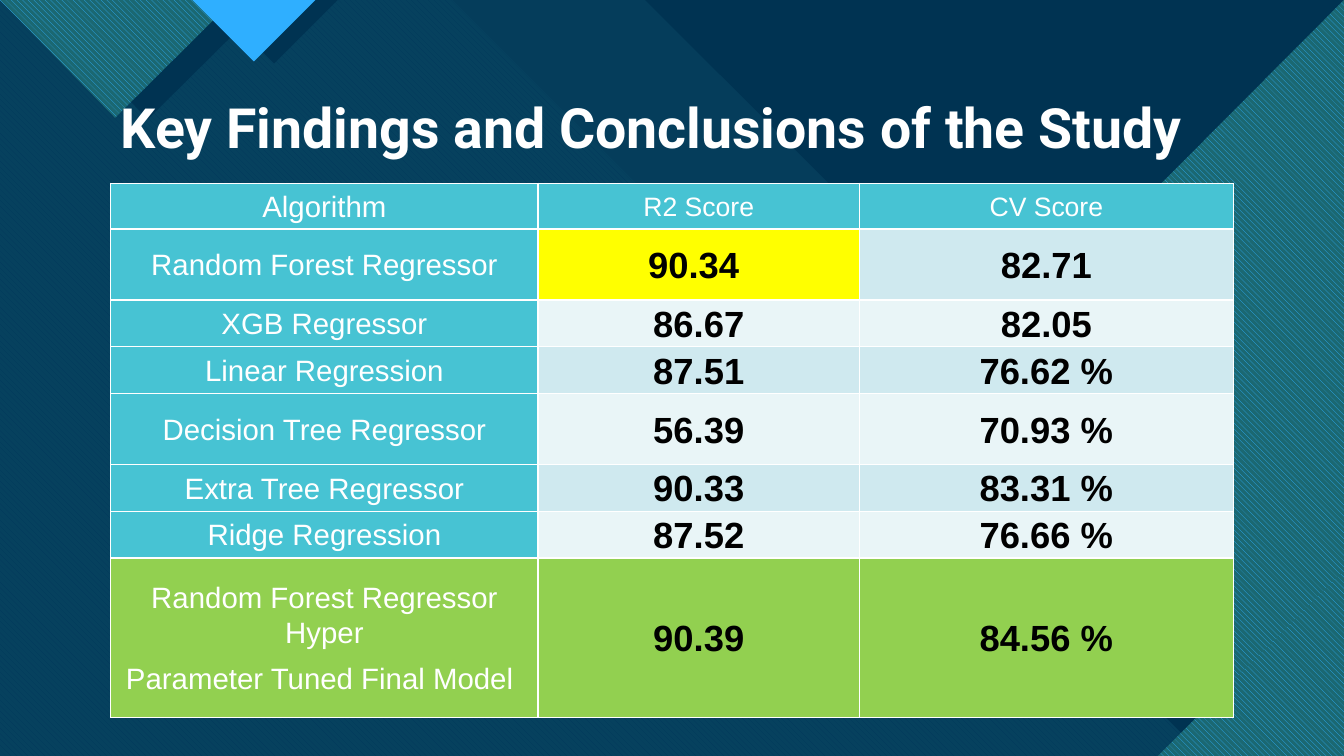
import pptx
import pptx.dml.color
import pptx.enum.dml
import pptx.enum.text
import pptx.oxml
import pptx.oxml.ns
import pptx.util
from pptx.util import Cm, Pt

WIDTH, HEIGHT = 33.87, 19.05
NAVY, TEAL, BLUE, WHITE, BLACK = "003352", "47C3D3", "2FAFFF", "FFFFFF", "000000"
DEEP_TEAL, GREEN, YELLOW = "1B6872", "92D050", "FFFF00"
BANDS = ("CFE9EF", "E9F5F7")

TITLE = "Key Findings and Conclusions of the Study"
HEADERS = ("Algorithm", "R2 Score", "CV Score")
SCORES = [
    ("Random Forest Regressor", "90.34 ", "82.71"),
    ("XGB Regressor", "86.67", "82.05"),
    ("Linear Regression", "87.51", "76.62 %"),
    ("Decision Tree Regressor", "56.39", "70.93 %"),
    ("Extra Tree Regressor", "90.33", "83.31 %"),
    ("Ridge Regression", "87.52", "76.66 %"),
    ("Random Forest Regressor Hyper\n Parameter Tuned Final Model", "90.39", "84.56 %"),
]
COLUMN_WIDTHS = (10.77, 8.1, 9.42)
ROW_HEIGHTS = (1.15, 1.79, 1.15, 1.15, 1.79, 1.15, 1.15, 4.02)

# Background polygons, back to front: corners in cm, colour, opacity %, hatch background
BACKDROP = [
    ([(0, 0), (WIDTH, 0), (WIDTH, HEIGHT), (0, HEIGHT)], "0C4360", 100, None),
    ([(0, 0), (20.98, 0), (28.52, 7.54), (31.37, 7.54), (WIDTH, 10.06),
      (WIDTH, HEIGHT), (0, HEIGHT)], TEAL, 74, None),
    ([(0, 0), (11.4, 0), (18.95, 7.54), (22.15, 7.54), (33.66, HEIGHT),
      (0, HEIGHT)], "0065A4", 100, TEAL),
    ([(16.26, 0), (WIDTH, 0), (WIDTH, 17.6)], NAVY, 100, None),
    ([(0, 0), (17.65, 0), (25.2, 7.54), (28.4, 7.54), (WIDTH, 13.03),
      (WIDTH, HEIGHT), (0, HEIGHT)], NAVY, 90, None),
    ([(WIDTH, 1.73), (WIDTH, HEIGHT), (30.35, HEIGHT), (23.44, 12.14)], NAVY, 100, None),
    ([(WIDTH, 0), (WIDTH, HEIGHT), (32.99, HEIGHT), (23.93, 9.98)], BLUE, 100, DEEP_TEAL),
    ([(WIDTH, 14.38), (WIDTH, HEIGHT), (29.18, HEIGHT)], BLUE, 100, DEEP_TEAL),
    ([(0.74, 0), (3.73, 3), (6.76, 0)], NAVY, 100, None),
    ([(0, 0), (2.9, 2.97), (5.89, 0)], BLUE, 100, DEEP_TEAL),
    ([(5.31, 0), (6.91, 1.6), (8.51, 0)], NAVY, 100, None),
    ([(4.85, 0), (6.4, 1.55), (7.95, 0)], BLUE, 100, None),
]


def rgb(color):
    return pptx.dml.color.RGBColor.from_string(color)


def style_font(font, name, size, color, bold):
    font.name, font.size, font.bold = name, Pt(size), bold
    font.color.rgb = rgb(color)


def add_polygon(slide, corners, color, opacity, hatch_background):
    points = [(Cm(x), Cm(y)) for x, y in corners]
    builder = slide.shapes.build_freeform(*points[0])
    builder.add_line_segments(points[1:], close=True)
    shape = builder.convert_to_shape()
    shape.shadow.inherit = False
    shape.line.fill.background()
    if hatch_background:
        shape.fill.patterned()
        shape.fill.pattern = pptx.enum.dml.MSO_PATTERN.WIDE_DOWNWARD_DIAGONAL
        shape.fill.fore_color.rgb = rgb(color)
        shape.fill.back_color.rgb = rgb(hatch_background)
        return
    shape.fill.solid()
    shape.fill.fore_color.rgb = rgb(color)
    if opacity < 100:
        paint = shape._element.spPr.find(".//" + pptx.oxml.ns.qn("a:srgbClr"))
        alpha = pptx.oxml.ns.qn("a:alpha")
        paint.makeelement(alpha)
        paint.append(paint.makeelement(alpha, {"val": str(opacity * 1000)}))


def add_title(slide):
    box = slide.shapes.add_textbox(Cm(2.79), Cm(2.62), Cm(30.48), Cm(1.55))
    frame = box.text_frame
    frame.word_wrap = True
    frame.vertical_anchor = pptx.enum.text.MSO_ANCHOR.BOTTOM
    paragraph = frame.paragraphs[0]
    paragraph.text = TITLE
    paragraph.line_spacing = 0.9
    style_font(paragraph.font, "Roboto", 39.6, WHITE, True)


def add_borders(cell):
    properties = cell._tc.get_or_add_tcPr()
    for side in "LRTB":
        properties.append(pptx.oxml.parse_xml(
            f'<a:ln{side} {pptx.oxml.ns.nsdecls("a")} w="{Pt(1)}"><a:solidFill>'
            f'<a:srgbClr val="{WHITE}"/></a:solidFill></a:ln{side}>'))


def cell_fill(row, column):
    if row == len(SCORES):
        return GREEN
    if row == 0 or column == 0:
        return TEAL
    return YELLOW if (row, column) == (1, 1) else BANDS[(row - 1) % 2]


def cell_font(row, column):
    """Size, colour and weight of the text in a cell."""
    if column == 0:
        return 21, WHITE, False
    return (19, WHITE, False) if row == 0 else (26, BLACK, True)


def fill_cell(cell, text, row, column):
    add_borders(cell)
    cell.fill.solid()
    cell.fill.fore_color.rgb = rgb(cell_fill(row, column))
    cell.margin_left = cell.margin_right = Cm(0.18)
    cell.margin_top = cell.margin_bottom = Cm(0)
    cell.vertical_anchor = pptx.enum.text.MSO_ANCHOR.MIDDLE
    cell.text = text
    align = pptx.enum.text.PP_ALIGN
    for index, paragraph in enumerate(cell.text_frame.paragraphs):
        paragraph.alignment = align.LEFT if index else align.CENTER
        paragraph.line_spacing = 1.07
        paragraph.space_after = Pt(8)
        style_font(paragraph.font, "Arial", *cell_font(row, column))


def add_score_table(slide):
    rows = [HEADERS, *SCORES]
    table = slide.shapes.add_table(
        len(rows), len(HEADERS), Cm(2.79), Cm(4.62),
        Cm(sum(COLUMN_WIDTHS)), Cm(sum(ROW_HEIGHTS))).table
    table.first_row = table.horz_banding = False
    for column, width in zip(table.columns, COLUMN_WIDTHS):
        column.width = Cm(width)
    for row, height in zip(table.rows, ROW_HEIGHTS):
        row.height = Cm(height)
    for row, texts in enumerate(rows):
        for column, text in enumerate(texts):
            fill_cell(table.cell(row, column), text, row, column)


def main():
    presentation = pptx.Presentation()
    presentation.slide_width, presentation.slide_height = Cm(WIDTH), Cm(HEIGHT)
    slide = presentation.slides.add_slide(presentation.slide_layouts[6])
    for polygon in BACKDROP:
        add_polygon(slide, *polygon)
    add_title(slide)
    add_score_table(slide)
    presentation.save("out.pptx")


if __name__ == "__main__":
    main()
